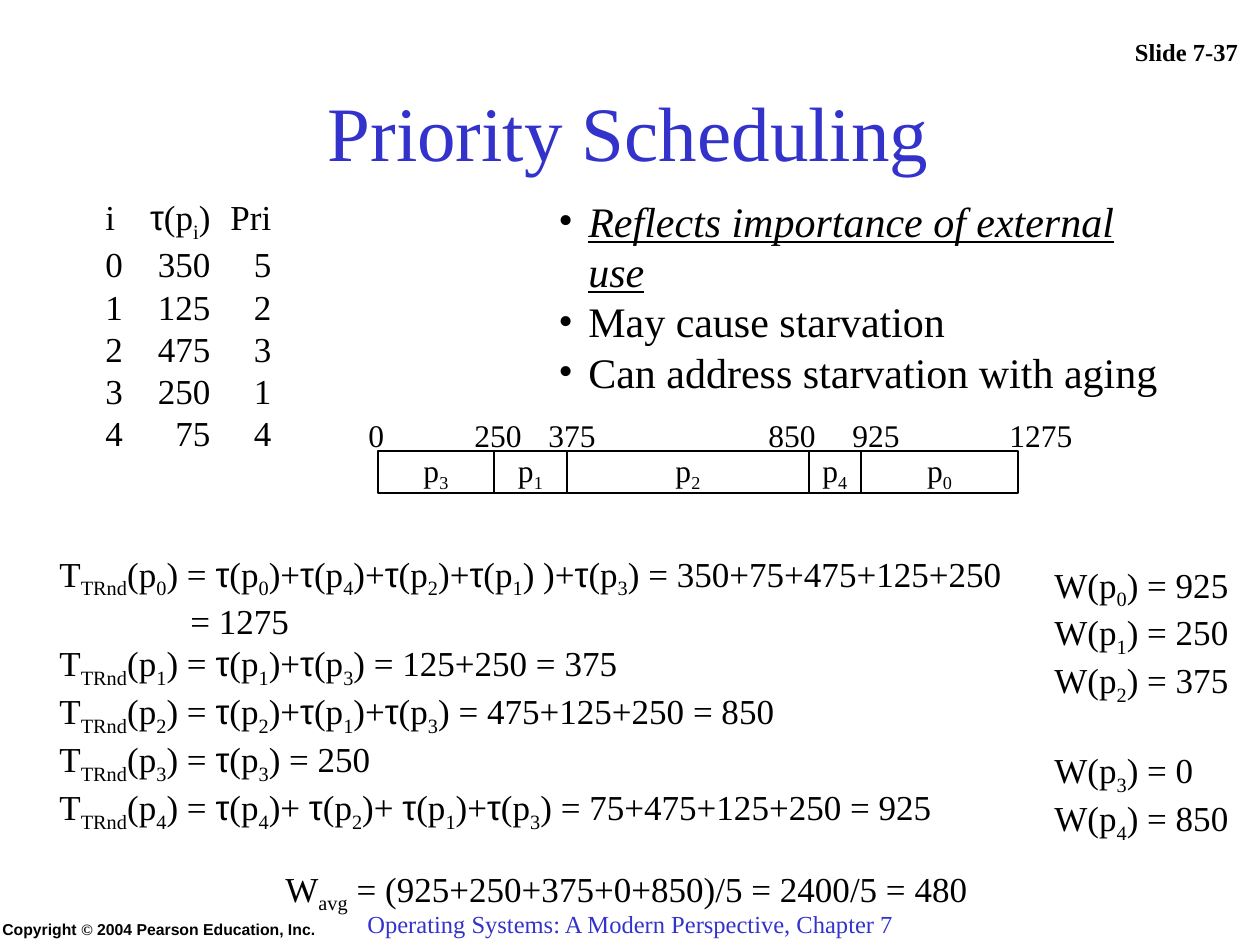
from itertools import groupby

from lxml.etree import SubElement
from pptx import Presentation
from pptx.dml.color import RGBColor
from pptx.enum.shapes import MSO_SHAPE
from pptx.enum.text import MSO_ANCHOR as Anchor, PP_ALIGN as Align
from pptx.oxml.ns import qn
from pptx.util import Emu, Pt

PX = 914400 // 126
SERIF, SANS = "Times New Roman", "Arial"
OTHER_FONT = {SERIF: SANS, SANS: SERIF}
SYMBOLS = "τ©"
BLACK, WHITE, BLUE = "000000", "FFFFFF", "3333CC"

PROCESSES = [("0", "350", "5"), ("1", "125", "2"), ("2", "475", "3"),
             ("3", "250", "1"), ("4", "75", "4")]
# Process, left edge, right edge
GANTT = [(3, 378, 494), (1, 494, 567), (2, 567, 809), (4, 809, 861), (0, 861, 1018)]
# Time, left edge, width
TIMES = [("0", 356, 44), ("250", 462, 76), ("375", 536, 76),
         ("850", 756, 76), ("925", 840, 76), ("1275", 997, 92)]
TURNAROUNDS = [
    "T{TRnd}(p{0}) = τ(p{0})+τ(p{4})+τ(p{2})+τ(p{1}) )+τ(p{3}) = 350+75+475+125+250",
    "= 1275",
    "T{TRnd}(p{1}) = τ(p{1})+τ(p{3}) = 125+250 = 375",
    "T{TRnd}(p{2}) = τ(p{2})+τ(p{1})+τ(p{3}) = 475+125+250 = 850",
    "T{TRnd}(p{3}) = τ(p{3}) = 250",
    "T{TRnd}(p{4}) = τ(p{4})+ τ(p{2})+ τ(p{1})+τ(p{3}) = 75+475+125+250 = 925",
]
WAITS = [925, 250, 375, 0, 850]


def px(length):
    return Emu(length * PX)


def rgb(code):
    return RGBColor.from_string(code)


def add_runs(paragraph, text, size, color=BLACK, font=SERIF, bold=False):
    """Add text whose {braced} parts are subscripts; symbols take the other font."""
    for i, part in enumerate(text.replace("}", "{").split("{")):
        for is_symbol, letters in groupby(part, lambda c: c in SYMBOLS):
            run = paragraph.add_run()
            run.text = "".join(letters)
            run.font.name = OTHER_FONT[font] if is_symbol else font
            run.font.size = Pt(size)
            run.font.bold = bold
            run.font.color.rgb = rgb(color)
            if i % 2:
                run.font._element.set("baseline", "-25000")


def fill_frame(frame, lines, size, align=Align.LEFT, anchor=Anchor.TOP, wrap=False, **style):
    frame.word_wrap = wrap
    frame.vertical_anchor = anchor
    frame.margin_left = frame.margin_right = Pt(7.2)
    frame.margin_top = frame.margin_bottom = Pt(3.6)
    for i, line in enumerate(lines):
        paragraph = frame.add_paragraph() if i else frame.paragraphs[0]
        paragraph.alignment = align
        add_runs(paragraph, line, size, **style)
    return frame.paragraphs


def add_text(slide, box, lines, size, **style):
    frame = slide.shapes.add_textbox(*map(px, box)).text_frame
    return fill_frame(frame, lines, size, **style)


def set_indent(paragraph, left, first=0):
    properties = paragraph._p.get_or_add_pPr()
    properties.set("marL", str(px(left)))
    properties.set("indent", str(px(first)))
    return properties


def add_bullet(paragraph):
    properties = set_indent(paragraph, 30, -30)
    color = SubElement(properties, qn("a:buClr"))
    SubElement(color, qn("a:srgbClr"), val=BLACK)
    SubElement(properties, qn("a:buFont"), typeface=SERIF)
    SubElement(properties, qn("a:buChar"), char="•")


def add_right_tabs(paragraph, stops):
    tabs = SubElement(paragraph._p.get_or_add_pPr(), qn("a:tabLst"))
    for stop in stops:
        SubElement(tabs, qn("a:tab"), pos=str(px(stop)), algn="r")


def add_process_list(slide):
    rows = [("i", "τ(p{i})", "Pri")] + PROCESSES
    lines = ["\t".join(row) for row in rows]
    for paragraph in add_text(slide, (93, 189, 196, 271), lines, 20):
        add_right_tabs(paragraph, (105, 166))


def add_remarks(slide):
    remarks = ["Reflects importance of external use", "May cause starvation",
               "Can address starvation with aging"]
    paragraphs = add_text(slide, (546, 189, 632, 164), remarks, 24, wrap=True)
    for paragraph in paragraphs:
        add_bullet(paragraph)
    key_point = paragraphs[0].runs[0].font
    key_point.italic = key_point.underline = True


def add_gantt(slide):
    for process, left, right in GANTT:
        bar = slide.shapes.add_shape(
            MSO_SHAPE.RECTANGLE, *map(px, (left, 451, right - left, 42)))
        bar.shadow.inherit = False
        bar.fill.solid()
        bar.fill.fore_color.rgb = rgb(WHITE)
        bar.line.color.rgb = rgb(BLACK)
        bar.line.width = Pt(0.75)
        fill_frame(bar.text_frame, [f"p{{{process}}}"], 18,
                   align=Align.CENTER, anchor=Anchor.MIDDLE)
    for time, left, width in TIMES:
        add_text(slide, (left, 410, width, 50), [time], 18)


def add_results(slide):
    turnarounds = add_text(slide, (47, 546, 975, 294), TURNAROUNDS, 20)
    set_indent(turnarounds[1], 131)
    lines = [f"W(p{{{i}}}) = {wait}" for i, wait in enumerate(WAITS)]
    waits = add_text(slide, (1042, 557, 204, 294), lines, 20)
    waits[3].space_before = Pt(24)
    total = "+".join(map(str, WAITS))
    average = f"W{{avg}} = ({total})/5 = {sum(WAITS)}/5 = {sum(WAITS) // 5}"
    add_text(slide, (273, 861, 711, 60), [average], 20)


def main():
    deck = Presentation()
    deck.slide_width, deck.slide_height = px(1260), px(945)
    slide = deck.slides.add_slide(deck.slide_layouts[6])
    add_text(slide, (1113, -21, 147, 94), ["Slide 7-37"], 14, bold=True,
             align=Align.CENTER, anchor=Anchor.BOTTOM, wrap=True)
    add_text(slide, (-10, 914, 609, 31), ["Copyright © 2004 Pearson Education, Inc."], 9,
             font=SANS, bold=True, wrap=True)
    add_text(slide, (289, 903, 683, 32),
             ["Operating Systems: A Modern Perspective, Chapter 7"], 14,
             color=BLUE, align=Align.CENTER, wrap=True)
    add_text(slide, (93, 84, 1071, 94), ["Priority Scheduling"], 44,
             color=BLUE, align=Align.CENTER, anchor=Anchor.MIDDLE, wrap=True)
    add_process_list(slide)
    add_remarks(slide)
    add_gantt(slide)
    add_results(slide)
    deck.save("out.pptx")


if __name__ == "__main__":
    main()
